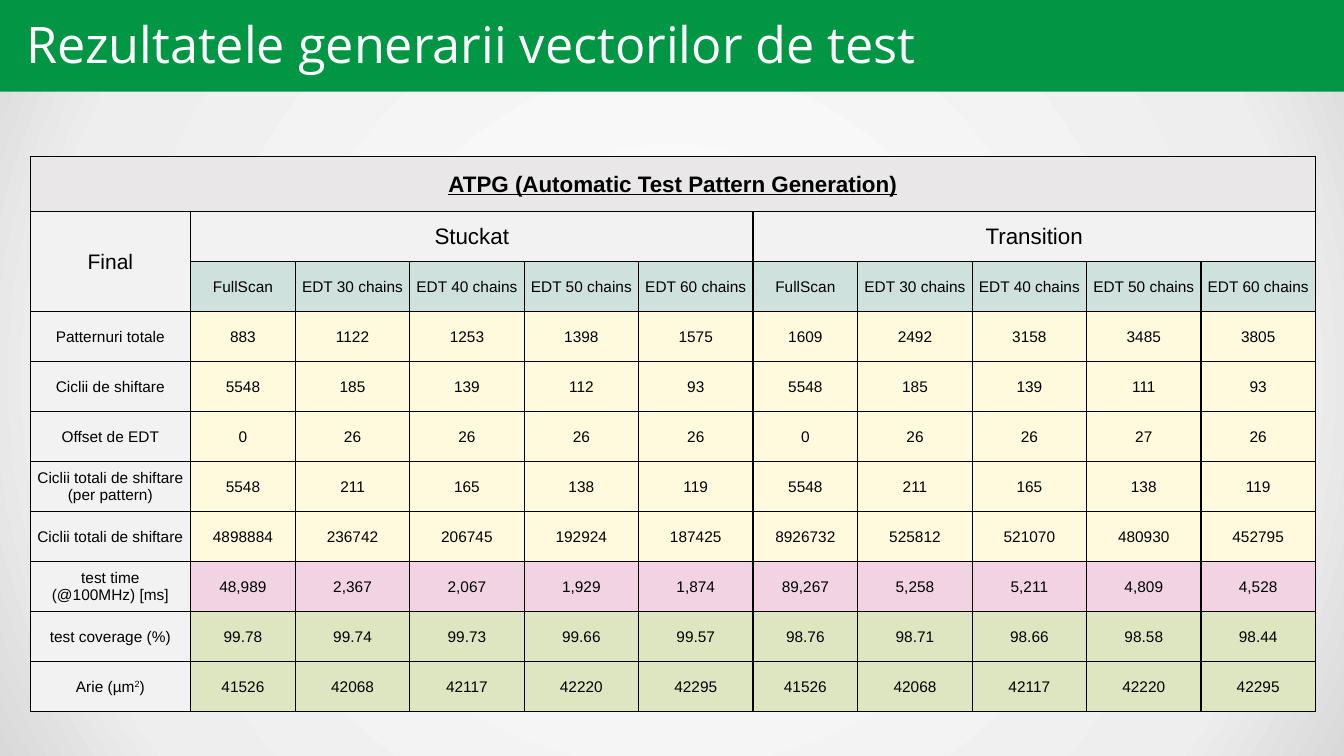
from dataclasses import dataclass

from lxml import etree
from pptx import Presentation
from pptx import util as u
from pptx.dml.color import RGBColor
from pptx.enum import shapes, text
from pptx.oxml import ns


@dataclass
class Theme:
    heading_font: str = "Open Sans"
    body_font: str = "Arial"
    title_size: int = 36
    banner_size: int = 16
    corner_size: int = 15
    cell_size: int = 11
    white: str = "FFFFFF"
    black: str = "000000"
    green: str = "009644"
    banner: str = "E9E7E7"
    label: str = "F2F2F2"
    method: str = "CEE1DC"
    cycles: str = "FFF9DD"
    time: str = "F1D3E4"
    quality: str = "DEE6C1"
    backdrop: tuple = ((0, "FFFFFF"), (81, "EEEEEE"), (100, "D9D9D9"))


class SlideBuilder:
    def __init__(self, page, theme):
        self.page = page
        self.theme = theme

    def background(self):
        self.page.background.fill.solid()
        properties = self.page.element.find(".//" + ns.qn("p:bgPr"))
        stops = "".join(
            f'<a:gs pos="{place * 1000}"><a:srgbClr val="{color}"/></a:gs>'
            for place, color in self.theme.backdrop
        )
        gradient = etree.fromstring(
            f'<a:gradFill {ns.nsdecls("a")} rotWithShape="1"><a:gsLst>{stops}</a:gsLst>'
            '<a:path path="circle"><a:fillToRect l="50000" t="50000" r="50000" b="50000"/>'
            "</a:path></a:gradFill>"
        )
        properties.replace(properties[0], gradient)

    def band(self, left, top, width, height, color):
        box = self.page.shapes.add_shape(
            shapes.MSO_SHAPE.RECTANGLE, *map(u.Inches, (left, top, width, height))
        )
        box.shadow.inherit = False
        box.fill.solid()
        box.fill.fore_color.rgb = RGBColor.from_string(color)
        box.line.fill.background()

    def span(self, para, words, size, color, font, bold=False, raised=False):
        span = para.add_run()
        span.text = words
        span.font.name = font
        span.font.size = u.Pt(size)
        span.font.bold = bold
        span.font.underline = bold
        span.font.color.rgb = RGBColor.from_string(color)
        if raised:
            span.font._element.set("baseline", "30000")

    def title(self, left, top, width, height, words):
        box = self.page.shapes.add_textbox(*map(u.Inches, (left, top, width, height)))
        frame = box.text_frame
        frame.word_wrap = True
        frame.vertical_anchor = text.MSO_ANCHOR.MIDDLE
        frame.margin_left = frame.margin_right = u.Inches(0.13)
        frame.margin_top = frame.margin_bottom = u.Inches(0.07)
        theme = self.theme
        self.span(frame.paragraphs[0], words, theme.title_size, theme.white, theme.heading_font)

    def table(self, left, top, widths, heights):
        frame = self.page.shapes.add_table(
            len(heights), len(widths),
            *map(u.Inches, (left, top, sum(widths), sum(heights))),
        )
        table = frame.table
        table.first_row = table.horz_banding = False
        for column, width in zip(table.columns, widths):
            column.width = u.Inches(width)
        for row, height in zip(table.rows, heights):
            row.height = u.Inches(height)
        return table

    def cell(self, cell, words, fill, size, bold=False):
        cell.fill.solid()
        cell.fill.fore_color.rgb = RGBColor.from_string(fill)
        cell.vertical_anchor = text.MSO_ANCHOR.MIDDLE
        cell.margin_left = cell.margin_right = cell.margin_top = u.Inches(0.01)
        cell.margin_bottom = 0
        self.borders(cell)
        para = cell.text_frame.paragraphs[0]
        para.alignment = text.PP_ALIGN.CENTER
        theme = self.theme
        for number, line in enumerate(words.split("\n")):
            if number:
                para.add_line_break()
            for position, part in enumerate(line.split("^")):
                if part:
                    self.span(para, part, size, theme.black, theme.body_font, bold, position == 1)

    def borders(self, cell):
        properties = cell._tc.get_or_add_tcPr()
        for position, side in enumerate("LRTB"):
            properties.insert(position, etree.fromstring(
                f'<a:ln{side} {ns.nsdecls("a")} w="{u.Pt(1)}"><a:solidFill>'
                f'<a:srgbClr val="{self.theme.black}"/></a:solidFill></a:ln{side}>'
            ))


def main():
    theme = Theme()
    deck = Presentation()
    deck.slide_width, deck.slide_height = u.Inches(13.33), u.Inches(7.5)
    page = SlideBuilder(deck.slides.add_slide(deck.slide_layouts[6]), theme)

    page.background()
    page.band(0, -0.03, 13.34, 0.94, theme.green)
    page.title(0.13, 0.04, 12, 0.78, "Rezultatele generarii vectorilor de test")

    methods = ["FullScan"] + [f"EDT {chains} chains" for chains in range(30, 70, 10)]
    results = [
        ("Patternuri totale", theme.cycles, "883 1122 1253 1398 1575 1609 2492 3158 3485 3805"),
        ("Ciclii de shiftare", theme.cycles, "5548 185 139 112 93 5548 185 139 111 93"),
        ("Offset de EDT", theme.cycles, "0 26 26 26 26 0 26 26 27 26"),
        ("Ciclii totali de shiftare (per pattern)", theme.cycles,
         "5548 211 165 138 119 5548 211 165 138 119"),
        ("Ciclii totali de shiftare", theme.cycles,
         "4898884 236742 206745 192924 187425 8926732 525812 521070 480930 452795"),
        ("test time\n(@100MHz) [ms]", theme.time,
         "48,989 2,367 2,067 1,929 1,874 89,267 5,258 5,211 4,809 4,528"),
        ("test coverage (%)", theme.quality,
         "99.78 99.74 99.73 99.66 99.57 98.76 98.71 98.66 98.58 98.44"),
        ("Arie (µm^2^)", theme.quality,
         "41526 42068 42117 42220 42295 41526 42068 42117 42220 42295"),
    ]

    label_width, scan_width, banner_height = 1.59, 1.04, 0.55
    chain_width = (12.75 - label_width - 2 * scan_width) / 8
    row_height = (5.51 - banner_height) / 10
    widths = [label_width] + 2 * ([scan_width] + 4 * [chain_width])
    table = page.table(0.3, 1.55, widths, [banner_height] + 10 * [row_height])

    table.cell(0, 0).merge(table.cell(0, 10))
    table.cell(1, 0).merge(table.cell(2, 0))
    for first in (1, 6):
        table.cell(1, first).merge(table.cell(1, first + 4))

    banner = ["ATPG (Automatic Test Pattern Generation)"] + 10 * [""]
    faults = ["Final", "Stuckat"] + 4 * [""] + ["Transition"] + 4 * [""]
    rows = [(banner, theme.banner), (faults, theme.label), ([""] + 2 * methods, theme.method)]
    rows += [([label] + values.split(), fill) for label, fill, values in results]
    for row, (entries, fill) in enumerate(rows):
        for column, words in enumerate(entries):
            size = theme.banner_size if row < 2 else theme.cell_size
            if row == 1 and column == 0:
                size = theme.corner_size
            shade = theme.label if row and column == 0 else fill
            page.cell(table.cell(row, column), words, shade, size, bold=row == 0)

    deck.save("out.pptx")


if __name__ == "__main__":
    main()
